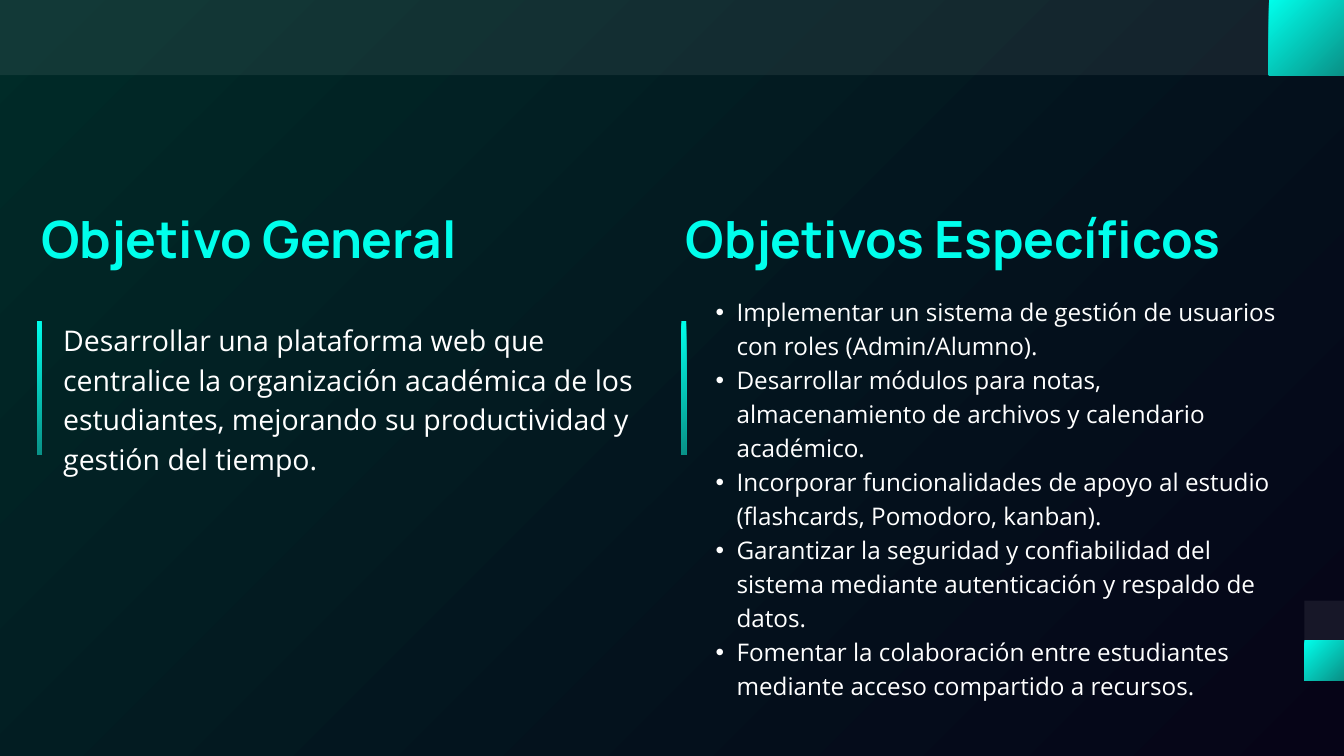
import pptx
import pptx.dml.color
import pptx.enum.shapes
import pptx.enum.text
import pptx.oxml.ns
import pptx.util
from lxml import etree

Cm, Pt = pptx.util.Cm, pptx.util.Pt
RGBColor = pptx.dml.color.RGBColor
qn = pptx.oxml.ns.qn

DARK_GREEN = RGBColor(0x00, 0x2B, 0x28)
DARK_NAVY = RGBColor(0x06, 0x04, 0x17)
CYAN = RGBColor(0x00, 0xFF, 0xEC)
TEAL = RGBColor(0x09, 0x91, 0x87)
WHITE = RGBColor(0xFF, 0xFF, 0xFF)

WIDTH, HEIGHT = 50.8, 28.58
BAND = 2.84
SMALL = 1.5
BAR_TOP, BAR_WIDTH, BAR_HEIGHT = 12.14, 0.18, 5.03
HEADING_TOP, HEADING_HEIGHT = 7.75, 2.51
TEXT_WIDTH = 22.56

GENERAL = ("Desarrollar una plataforma web que centralice la organización académica "
           "de los estudiantes, mejorando su productividad y gestión del tiempo.")
SPECIFIC = [
    "Implementar un sistema de gestión de usuarios con roles (Admin/Alumno).",
    "Desarrollar módulos para notas, almacenamiento de archivos y calendario académico.",
    "Incorporar funcionalidades de apoyo al estudio (flashcards, Pomodoro, kanban).",
    "Garantizar la seguridad y confiabilidad del sistema mediante autenticación "
    "y respaldo de datos.",
    "Fomentar la colaboración entre estudiantes mediante acceso compartido a recursos.",
]


def diagonal_gradient(fill, start, end):
    """Blend from the top left to the bottom right."""
    fill.gradient()
    fill.gradient_angle = 315
    for stop, color in zip(fill.gradient_stops, (start, end)):
        stop.color.rgb = color


def write_text(p, text, font="Open Sans", size=26, color=WHITE, bold=False,
               spacing=36.4, bullet=False):
    p.alignment = pptx.enum.text.PP_ALIGN.LEFT
    p.line_spacing = Pt(spacing)
    r = p.add_run()
    r.text = text
    r.font.name = font
    r.font.size = Pt(size)
    r.font.bold = bold
    r.font.color.rgb = color
    if bullet:
        p.level = 1
        pPr = p._p.get_or_add_pPr()
        pPr.set("marL", str(Cm(1.55)))
        pPr.set("indent", str(Cm(-0.79)))
        etree.SubElement(pPr, qn("a:buFont")).set("typeface", "Arial")
        etree.SubElement(pPr, qn("a:buChar")).set("char", "•")


class SlideBuilder:
    HEADING = dict(font="Manrope", size=55, color=CYAN, bold=True, spacing=68.8)

    def __init__(self, slide):
        self.slide = slide

    def background(self):
        diagonal_gradient(self.slide.background.fill, DARK_GREEN, DARK_NAVY)

    def block(self, left, top, width, height):
        sp = self.slide.shapes.add_shape(
            pptx.enum.shapes.MSO_SHAPE.RECTANGLE,
            Cm(left), Cm(top), Cm(width), Cm(height))
        sp.shadow.inherit = False
        sp.line.fill.background()
        return sp

    def accent(self, *box):
        diagonal_gradient(self.block(*box).fill, CYAN, TEAL)

    def veil(self, *box):
        """Add a faint, almost transparent white block."""
        fill = self.block(*box).fill
        fill.solid()
        fill.fore_color.rgb = WHITE
        color = fill._xPr.find(qn("a:solidFill"))[0]
        etree.SubElement(color, qn("a:alpha")).set("val", "7000")

    def fill_frame(self, sp, box, texts, **style):
        sp.left, sp.top, sp.width, sp.height = map(Cm, box)
        tf = sp.text_frame
        tf.word_wrap = True
        tf.auto_size = pptx.enum.text.MSO_AUTO_SIZE.NONE
        tf.vertical_anchor = pptx.enum.text.MSO_ANCHOR.TOP
        tf.margin_left = tf.margin_top = tf.margin_right = tf.margin_bottom = 0
        for i, text in enumerate(texts):
            p = tf.add_paragraph() if i else tf.paragraphs[0]
            write_text(p, text, **style)

    def title(self, text, *box):
        self.fill_frame(self.slide.shapes.title, box, [text], **self.HEADING)

    def text(self, texts, *box, **style):
        sp = self.slide.shapes.add_textbox(0, 0, 0, 0)
        self.fill_frame(sp, box, texts, **style)

    def heading(self, text, *box):
        self.text([text], *box, **self.HEADING)


def main():
    prs = pptx.Presentation()
    prs.slide_width, prs.slide_height = Cm(WIDTH), Cm(HEIGHT)
    s = SlideBuilder(prs.slides.add_slide(prs.slide_layouts[5]))
    s.background()

    s.veil(0, 0, WIDTH, BAND)
    s.accent(WIDTH - BAND, 0, BAND, BAND)
    s.accent(WIDTH - SMALL, 24.21, SMALL, SMALL)
    s.veil(WIDTH - SMALL, 24.21 - SMALL, SMALL, SMALL)

    s.title("Objetivo General", 1.55, HEADING_TOP, 19.66, HEADING_HEIGHT)
    s.heading("Objetivos Específicos", 25.93, HEADING_TOP, 22.53, HEADING_HEIGHT)
    for left in (1.4, 25.76):
        s.accent(left, BAR_TOP, BAR_WIDTH, BAR_HEIGHT)
    s.text([GENERAL], 2.39, 11.99, TEXT_WIDTH, 7.39, size=30.5, spacing=42.7)
    s.text(SPECIFIC, 26.29, 11.07, TEXT_WIDTH, 16.48, bullet=True)

    prs.save("out.pptx")


if __name__ == "__main__":
    main()
